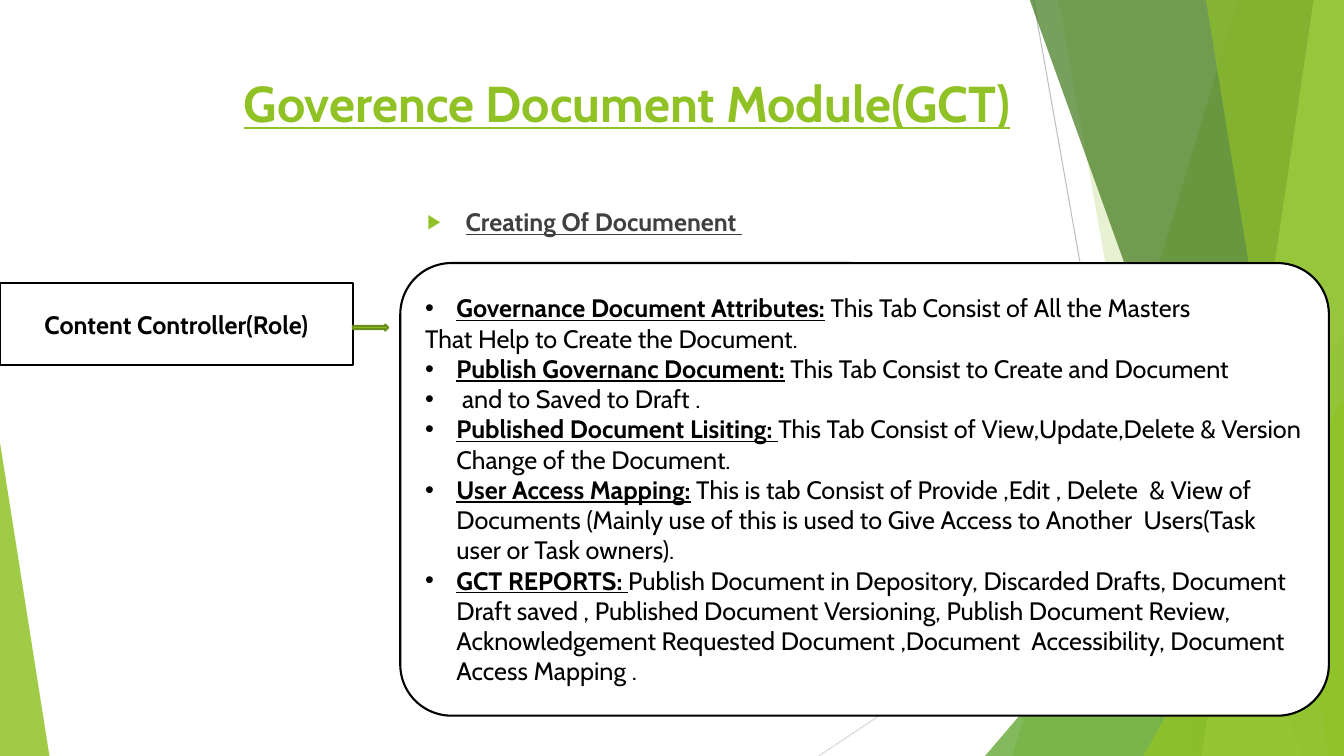
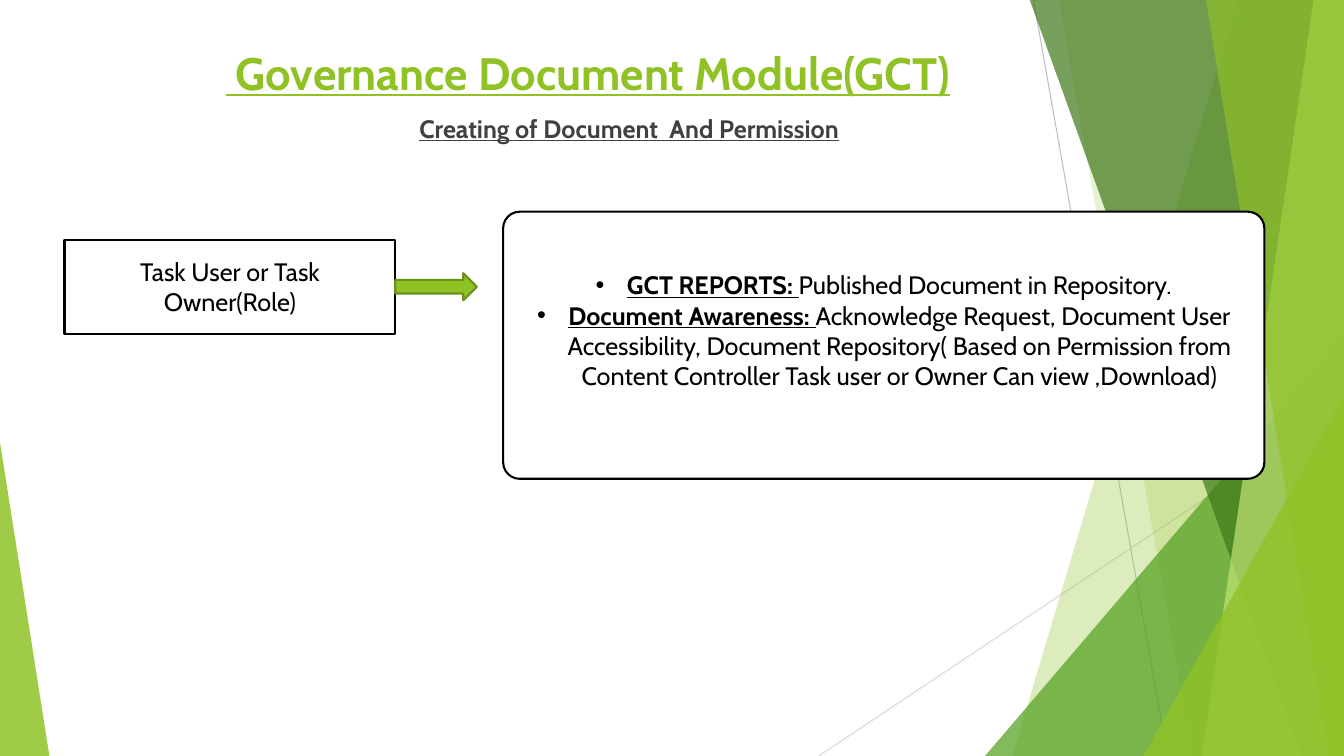
from lxml.etree import SubElement
from pptx import Presentation
from pptx.dml.color import RGBColor
from pptx.enum.shapes import MSO_CONNECTOR, MSO_SHAPE
from pptx.enum.text import MSO_ANCHOR, PP_ALIGN
from pptx.oxml.ns import qn
from pptx.util import Inches, Pt

GREEN = RGBColor(0x90, 0xC2, 0x26)
MID_GREEN = RGBColor(0x54, 0xA0, 0x21)
DARK_GREEN = RGBColor(0x3F, 0x78, 0x19)
PALE_GREEN = RGBColor(0xC0, 0xE4, 0x74)
ARROW_EDGE = RGBColor(0x6B, 0x90, 0x1C)
BLACK = RGBColor(0, 0, 0)
WHITE = RGBColor(0xFF, 0xFF, 0xFF)
BODY_GREY = RGBColor(0x40, 0x40, 0x40)
RAY_GREY = RGBColor(0xBF, 0xBF, 0xBF)
LIGHT_RAY = RGBColor(0xD9, 0xD9, 0xD9)
FONT = "Cabin"
WIDTH, HEIGHT = 13.33, 7.5


def paint(shape, fill, edge=None, opacity=100):
    """Fill a shape, with either an outline or some transparency."""
    shape.shadow.inherit = False
    shape.fill.solid()
    shape.fill.fore_color.rgb = fill
    if edge is None:
        shape.line.fill.background()
    else:
        shape.line.color.rgb = edge
        shape.line.width = Pt(1.5)
    if opacity < 100:
        color = shape.element.spPr.find(qn("a:solidFill"))[0]
        SubElement(color, qn("a:alpha"), val=str(opacity * 1000))


def write(frame, paragraphs, size, color, align=PP_ALIGN.LEFT, bullet="•", indent=0.31):
    """Each paragraph is (bulleted, runs); each run is (text, bold, underlined)."""
    frame.word_wrap = True
    for number, (bulleted, runs) in enumerate(paragraphs):
        paragraph = frame.add_paragraph() if number else frame.paragraphs[0]
        paragraph.alignment = align
        if bulleted:
            properties = paragraph._p.get_or_add_pPr()
            properties.set("marL", str(Inches(indent)))
            properties.set("indent", str(-Inches(indent)))
            if bullet != "•":
                bullet_color = SubElement(properties, qn("a:buClr"))
                SubElement(bullet_color, qn("a:srgbClr"), val=str(GREEN))
                SubElement(properties, qn("a:buSzPct"), val="80000")
            SubElement(properties, qn("a:buFont"), typeface="Arial")
            SubElement(properties, qn("a:buChar"), char=bullet)
        for text, bold, underlined in runs:
            run = paragraph.add_run()
            run.text = text
            run.font.name = FONT
            run.font.size = Pt(size)
            run.font.color.rgb = color
            run.font.bold = bold
            run.font.underline = underlined


prs = Presentation()
prs.slide_width, prs.slide_height = Inches(WIDTH), Inches(HEIGHT)
blank = prs.slide_layouts[6]
for placeholder in list(blank.placeholders):
    blank.shapes.element.remove(placeholder.element)
slides = [prs.slides.add_slide(blank) for _ in range(2)]

# Shared backdrop: drawn once, then moved to the layout
drawing = slides[0].shapes
for start, end, color in [
    ((10.25, 0), (11.58, HEIGHT), RAY_GREY),
    ((WIDTH, 4.03), (8.12, HEIGHT), LIGHT_RAY),
]:
    ray = drawing.add_connector(
        MSO_CONNECTOR.STRAIGHT, *[Inches(value) for value in start + end])
    ray.line.color.rgb = color
    ray.line.width = Pt(0.75)
    SubElement(ray.element.spPr, qn("a:effectLst"))

# Bands run from a top x to a bottom x and fill up to the right edge;
# wedges are right triangles given as left, top, width and apex side
backdrop = [
    ("band", (12.28, 10.04), GREEN, 30),
    ("band", (10.5, 11.83), GREEN, 20),
    ("wedge", (9.77, 3.33, 3.56, 1), MID_GREEN, 72),
    ("band", (10.21, 12.91), DARK_GREEN, 70),
    ("band", (13.03, 11.92), PALE_GREEN, 70),
    ("band", (11.96, 13.18), GREEN, 65),
    ("wedge", (11.34, 3.93, 1.99, 1), GREEN, 80),
    ("wedge", (0, 4.39, 0.49, 0), GREEN, 85),
]
for kind, geometry, color, opacity in backdrop:
    if kind == "band":
        top_x, bottom_x = geometry
        outline = drawing.build_freeform(Inches(top_x), Inches(-0.01))
        corners = [(WIDTH, -0.01), (WIDTH, HEIGHT), (bottom_x, HEIGHT)]
        outline.add_line_segments([(Inches(x), Inches(y)) for x, y in corners])
        facet = outline.convert_to_shape()
    else:
        left, top, width, apex = geometry
        facet = drawing.add_shape(
            MSO_SHAPE.ISOSCELES_TRIANGLE, Inches(left), Inches(top),
            Inches(width), Inches(HEIGHT - top))
        facet.adjustments[0] = apex
    paint(facet, color, opacity=opacity)
for facet in list(drawing):
    blank.shapes.element.append(facet.element)

# Content of the two slides
contents = [
    {
        "title": "Goverence Document Module(GCT)",
        "title_box": (2.32, 0.67, 7.82, 1.44),
        "title_size": 36,
        "subtitle": "Creating Of Documenent ",
        "subtitle_box": (4.14, 2, 5.06, 0.62),
        "subtitle_bullet": True,
        "role": "Content Controller(Role)",
        "role_box": (0, 2.81, 3.5, 0.81),
        "role_bold": True,
        "arrow_box": (3.5, 3.22, 0.35, 0.06),
        "detail_box": (3.97, 2.61, 9.21, 4.49),
        "corner": 0.113,
        "align": PP_ALIGN.LEFT,
        "bottom_inset": 0.05,
        "details": [
            (True, "Governance Document Attributes:",
             " This Tab Consist of All the Masters"),
            (False, "", "That Help to Create the Document."),
            (True, "Publish Governanc Document:",
             " This Tab Consist to Create and Document"),
            (True, "", " and to Saved to Draft ."),
            (True, "Published Document Lisiting: ",
             "This Tab Consist of View,Update,Delete & Version Change of the Document."),
            (True, "User Access Mapping:",
             " This is tab Consist of Provide ,Edit , Delete  & View of Documents "
             "(Mainly use of this is used to Give Access to Another  Users"
             "(Task user or Task owners)."),
            (True, "GCT REPORTS: ",
             "Publish Document in Depository, Discarded Drafts, Document Draft saved , "
             "Published Document Versioning, Publish Document Review, "
             "Acknowledgement Requested Document ,Document  Accessibility, "
             "Document Access Mapping ."),
        ],
    },
    {
        "title": " Governance Document Module(GCT)",
        "title_box": (2.14, 0.4, 10.28, 0.59),
        "title_size": 32.4,
        "subtitle": "Creating of Document  And Permission",
        "subtitle_box": (4.06, 1.07, 5.41, 0.42),
        "subtitle_bullet": False,
        "role": "Task User or Task Owner(Role)",
        "role_box": (0.64, 2.38, 3.28, 0.93),
        "role_bold": False,
        "arrow_box": (3.92, 2.71, 0.81, 0.27),
        "detail_box": (4.99, 2.1, 7.55, 2.65),
        "corner": 0.062,
        "align": PP_ALIGN.CENTER,
        "bottom_inset": 0.35,
        "details": [
            (True, "GCT REPORTS: ", "Published Document in Repository."),
            (True, "Document Awareness: ",
             "Acknowledge Request, Document User Accessibility, Document Repository"
             "( Based on Permission from Content Controller Task user or Owner "
             "Can view ,Download)"),
        ],
    },
]

for slide, content in zip(slides, contents):
    shapes = slide.shapes

    # Title and subtitle
    title = shapes.add_textbox(*map(Inches, content["title_box"]))
    write(title.text_frame, [(False, [(content["title"], True, True)])],
          content["title_size"], GREEN)
    subtitle = shapes.add_textbox(*map(Inches, content["subtitle_box"]))
    write(subtitle.text_frame,
          [(content["subtitle_bullet"], [(content["subtitle"], True, True)])],
          18, BODY_GREY, bullet="▶", indent=0.38)

    # Role, arrow and the tabs open to that role
    role = shapes.add_shape(MSO_SHAPE.RECTANGLE, *map(Inches, content["role_box"]))
    paint(role, WHITE, BLACK)
    role.text_frame.vertical_anchor = MSO_ANCHOR.MIDDLE
    write(role.text_frame, [(False, [(content["role"], content["role_bold"], False)])],
          18, BLACK, PP_ALIGN.CENTER)

    arrow = shapes.add_shape(MSO_SHAPE.RIGHT_ARROW, *map(Inches, content["arrow_box"]))
    paint(arrow, GREEN, ARROW_EDGE)

    details = shapes.add_shape(
        MSO_SHAPE.ROUNDED_RECTANGLE, *map(Inches, content["detail_box"]))
    details.adjustments[0] = content["corner"]
    paint(details, WHITE, BLACK)
    details.text_frame.vertical_anchor = MSO_ANCHOR.MIDDLE
    details.text_frame.margin_bottom = Inches(content["bottom_inset"])
    paragraphs = []
    for bulleted, heading, text in content["details"]:
        runs = [(heading, True, True)] if heading else []
        paragraphs.append((bulleted, runs + [(text, False, False)]))
    write(details.text_frame, paragraphs, 18, BLACK, content["align"])

prs.save("out.pptx")
